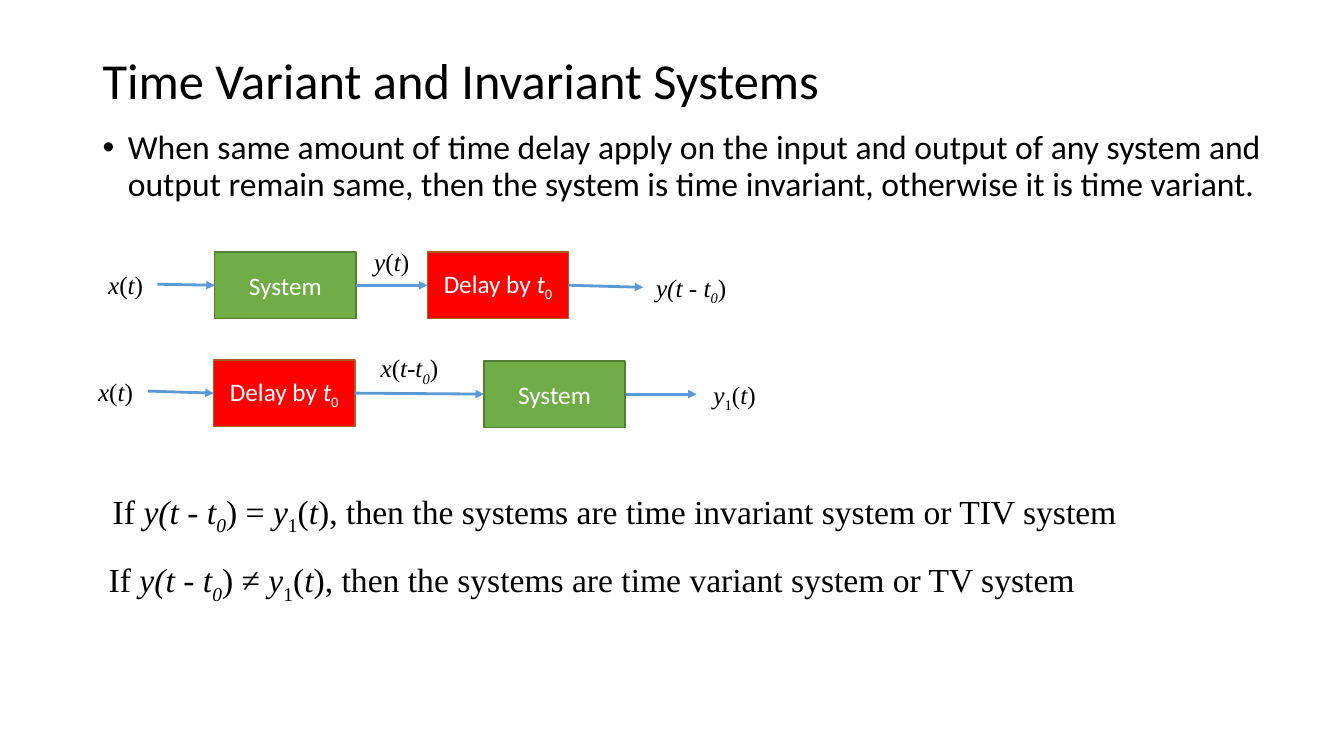
from lxml import etree
from pptx import Presentation, util as u
from pptx.dml.color import RGBColor
from pptx.enum import shapes, text
from pptx.oxml.ns import qn

Inches = u.Inches
COLORS = {
    "ink": "000000", "white": "FFFFFF", "arrow": "5B9BD5",
    "system": "70AD47", "system_line": "538035",
    "delay": "FF0000", "delay_line": "AF5C24",
}
BODY, MATH = "Calibri", "Times New Roman"

# A run is (text, style): "i" is italic, "s" is subscript.
X_T = [("x", "i"), ("(", ""), ("t", "i"), (")", "")]
Y_T = [("y", "i")] + X_T[1:]
Y1_T = [("y", "i"), ("1", "s")] + X_T[1:]
X_DELAYED = [("x", "i"), ("(", ""), ("t-t", "i"), ("0", "is"), (")", "")]
Y_DELAYED = [("y(t - t", "i"), ("0", "is"), (")", "")]
SYSTEM = [("System", "")]
DELAY = [("Delay by ", ""), ("t", "i"), ("0", "s")]

BLOCK_SIZE = (1.4, 0.66)
LABEL_HEIGHT = 0.4


def color(name):
    return RGBColor.from_string(COLORS[name])


def write(shape, runs, size, font=BODY, ink="ink", align=text.PP_ALIGN.LEFT,
          anchor=text.MSO_ANCHOR.TOP):
    frame = shape.text_frame
    frame.word_wrap = True
    frame.vertical_anchor = anchor
    paragraph = frame.paragraphs[0]
    paragraph.alignment = align
    paragraph.font.size = u.Pt(size)
    paragraph.font.name = font
    paragraph.font.color.rgb = color(ink)
    for words, style in runs:
        run = paragraph.add_run()
        run.text = words
        if "i" in style:
            run.font.italic = True
        if "s" in style:
            run._r.get_or_add_rPr().set("baseline", "-25000")
    return paragraph


def add_text(slide, box, runs, size, **options):
    shape = slide.shapes.add_textbox(*map(Inches, box))
    return write(shape, runs, size, **options)


def add_title(slide, box):
    paragraph = add_text(slide, box, [("Time Variant and Invariant Systems", "")], 36,
                         anchor=text.MSO_ANCHOR.MIDDLE)
    paragraph.line_spacing = 0.9


def add_definition(slide, box):
    shape = slide.shapes.add_textbox(*map(Inches, box))
    properties = shape.text_frame.paragraphs[0]._p.get_or_add_pPr()
    properties.set("marL", str(Inches(0.25)))
    properties.set("indent", str(-Inches(0.25)))
    bullet_font = etree.SubElement(properties, qn("a:buFont"))
    bullet_font.set("typeface", "Arial")
    etree.SubElement(properties, qn("a:buChar")).set("char", "•")
    paragraph = write(shape, [(
        "When same amount of time delay apply on the input and output of any system "
        "and output remain same, then the system is time invariant, otherwise it is "
        "time variant.", "")], 24)
    paragraph.line_spacing = 0.9


def add_block(slide, left, top, kind, runs):
    block = slide.shapes.add_shape(shapes.MSO_SHAPE.RECTANGLE,
                                   *map(Inches, (left, top, *BLOCK_SIZE)))
    block.shadow.inherit = False
    block.fill.solid()
    block.fill.fore_color.rgb = color(kind)
    block.line.color.rgb = color(kind + "_line")
    block.line.width = u.Pt(1)
    write(block, runs, 18, ink="white", align=text.PP_ALIGN.CENTER,
          anchor=text.MSO_ANCHOR.MIDDLE)


def add_arrow(slide, start, end):
    arrow = slide.shapes.add_connector(shapes.MSO_CONNECTOR.STRAIGHT,
                                       *map(Inches, (*start, *end)))
    arrow.line.color.rgb = color("arrow")
    arrow.line.width = u.Pt(2)
    tail = etree.SubElement(arrow.line._get_or_add_ln(), qn("a:tailEnd"))
    tail.set("type", "triangle")
    etree.SubElement(arrow._element.spPr, qn("a:effectLst"))


def add_signal_chain(slide, left, top, blocks, arrows, labels):
    """Draw one block diagram; all offsets count from its left and top."""
    for x, y, kind, runs in blocks:
        add_block(slide, left + x, top + y, kind, runs)
    for x1, y1, x2, y2 in arrows:
        add_arrow(slide, (left + x1, top + y1), (left + x2, top + y2))
    for x, y, width, runs in labels:
        add_text(slide, (left + x, top + y, width, LABEL_HEIGHT), runs, 18,
                 font=MATH, align=text.PP_ALIGN.CENTER)


def add_conclusion(slide, box, relation, kind):
    runs = [("If ", ""), *Y_DELAYED[:-1], (f") {relation} ", ""), *Y1_T[:-1],
            (f"), then the systems are time {kind}", "")]
    add_text(slide, box, runs, 24, font=MATH)


def main():
    presentation = Presentation()
    presentation.slide_width = Inches(13.33)
    presentation.slide_height = Inches(7.5)
    slide = presentation.slides.add_slide(presentation.slide_layouts[6])

    add_title(slide, (0.92, 0.4, 11.5, 0.85))
    add_definition(slide, (0.92, 1.25, 11.77, 1.14))
    add_signal_chain(
        slide, 0.92, 2.39,
        blocks=[(1.21, 0.11, "system", SYSTEM), (3.32, 0.11, "delay", DELAY)],
        arrows=[(0.64, 0.43, 1.21, 0.44), (2.61, 0.44, 3.32, 0.44),
                (4.72, 0.44, 5.46, 0.46)],
        labels=[(0, 0.23, 0.65, X_T), (2.64, 0, 0.65, Y_T),
                (5.46, 0.26, 0.95, Y_DELAYED)])
    add_signal_chain(
        slide, 0.82, 3.45,
        blocks=[(1.3, 0.12, "delay", DELAY), (3.98, 0.13, "system", SYSTEM)],
        arrows=[(0.65, 0.43, 1.3, 0.45), (2.7, 0.45, 3.98, 0.46),
                (5.39, 0.46, 6.09, 0.46)],
        labels=[(0, 0.23, 0.65, X_T), (2.65, 0, 1.18, X_DELAYED),
                (6.09, 0.26, 0.75, Y1_T)])
    add_conclusion(slide, (1.02, 4.82, 11.9, 0.5), "=",
                   "invariant system or TIV system")
    add_conclusion(slide, (0.98, 5.5, 11.9, 0.5), "≠",
                   "variant system or TV system")

    presentation.save("out.pptx")


if __name__ == "__main__":
    main()
